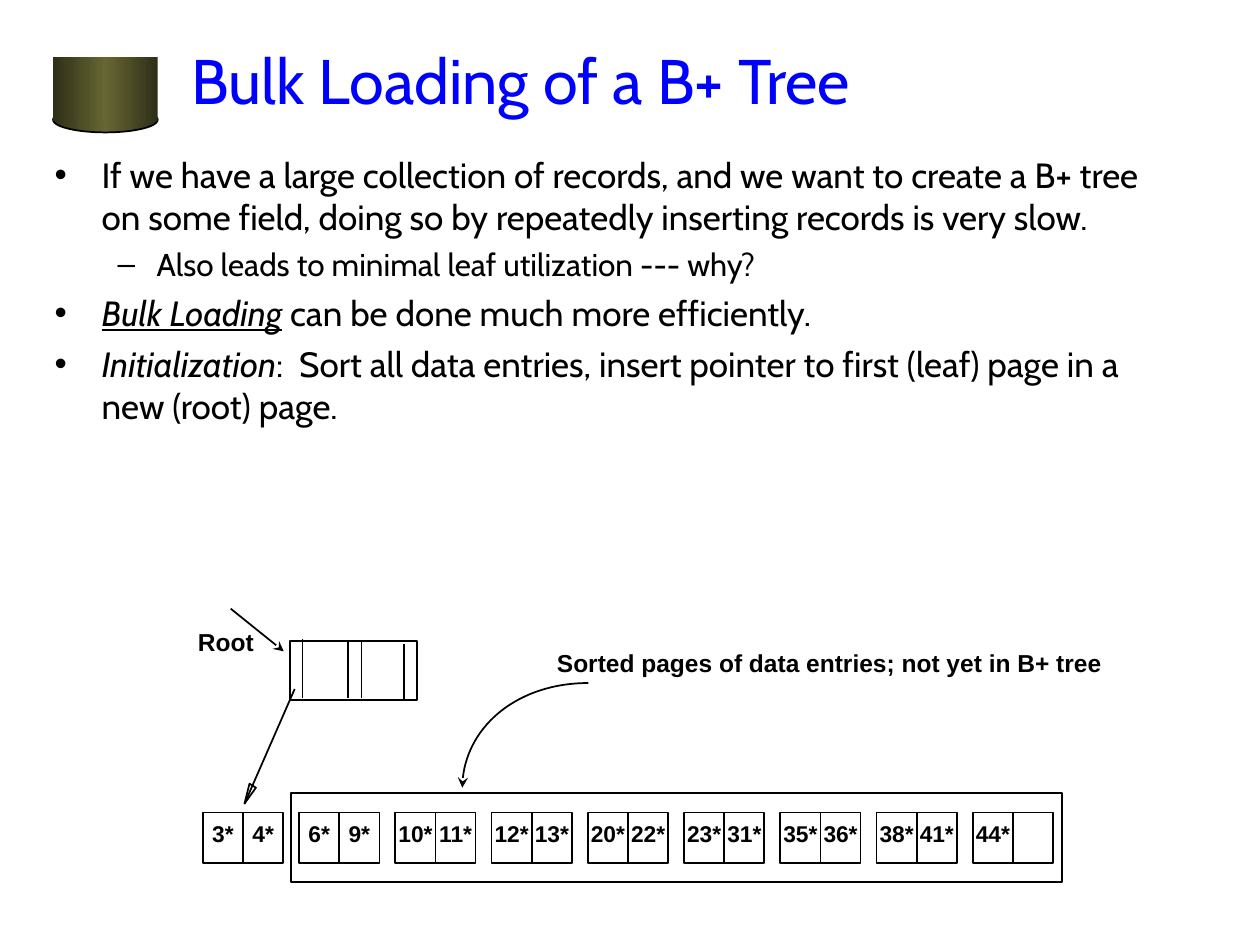
from copy import deepcopy

from lxml import etree
from pptx import Presentation
from pptx import util as u
from pptx.dml.color import RGBColor
from pptx.enum import shapes, text
from pptx.oxml import ns

COLOURS = {"ink": "000000", "title": "0000FF", "edge": "2F2F18", "middle": "666633"}


class SlideWriter:
    """Hold the style and the current slide, and draw each kind of element."""

    def __init__(self, deck):
        self.page = deck.slides.add_slide(deck.slide_layouts[5])
        self.shapes = self.page.shapes

    def colour(self, name):
        return RGBColor.from_string(COLOURS[name])

    def child(self, parent, tag, **attributes):
        return etree.SubElement(parent, ns.qn(tag), **attributes)

    def outline(self, shape):
        shape.line.color.rgb = self.colour("ink")
        shape.line.width = u.Pt(1)

    def add_run(self, para, words, size, font, colour="ink", **look):
        span = para.add_run()
        span.text = words
        span.font.size = u.Pt(size)
        span.font.name = font
        span.font.color.rgb = self.colour(colour)
        for name, value in look.items():
            setattr(span.font, name, value)

    def title(self, words, left, top, width, height):
        box = self.shapes.title
        box.left, box.top, box.width, box.height = map(u.Cm, (left, top, width, height))
        frame = box.text_frame
        frame.auto_size = text.MSO_AUTO_SIZE.NONE
        frame.vertical_anchor = text.MSO_ANCHOR.MIDDLE
        para = frame.paragraphs[0]
        para.alignment = text.PP_ALIGN.LEFT
        self.add_run(para, words, 36, "Cabin", "title")

    def bullets(self, items, left, top, width, height):
        frame = self.shapes.add_textbox(*map(u.Cm, (left, top, width, height))).text_frame
        frame.word_wrap = True
        levels = [("•", 0.95, 0.95, 20, 5), ("–", 2.06, 0.79, 18, 4.5)]
        for index, (level, runs) in enumerate(items):
            mark, margin, hanging, size, space = levels[level]
            para = frame.add_paragraph() if index else frame.paragraphs[0]
            para.level = level
            properties = para._p.get_or_add_pPr()
            properties.set("marL", str(u.Cm(margin)))
            properties.set("indent", str(-u.Cm(hanging)))
            self.child(properties, "a:buFont", typeface="Arial")
            self.child(properties, "a:buChar", char=mark)
            if index:
                para.space_before = u.Pt(space)
            for words, look in runs:
                self.add_run(para, words, size, "Cabin", **look)

    def label(self, words, left, top, width, size=14, height=0.84):
        frame = self.shapes.add_textbox(*map(u.Cm, (left, top, width, height))).text_frame
        frame.word_wrap = False
        para = frame.paragraphs[0]
        para.alignment = text.PP_ALIGN.CENTER
        self.add_run(para, words, size, "Arial", bold=True)

    def shape(self, kind, left, top, width, height):
        shape = self.shapes.add_shape(kind, *map(u.Cm, (left, top, width, height)))
        shape.shadow.inherit = False
        shape.fill.background()
        self.outline(shape)
        return shape

    def rectangle(self, *place):
        return self.shape(shapes.MSO_SHAPE.RECTANGLE, *place)

    def shade(self, shape):
        shape.fill.gradient()
        shape.fill.gradient_angle = 0
        first = shape.fill.gradient_stops[0]._gs
        first.addnext(deepcopy(first))
        stops = zip(shape.fill.gradient_stops, (0, 0.5, 1), ("edge", "middle", "edge"))
        for stop, position, name in stops:
            stop.position = position
            stop.color.rgb = self.colour(name)

    def line(self, x1, y1, x2, y2, tail=None):
        line = self.shapes.add_connector(
            shapes.MSO_CONNECTOR.STRAIGHT, *map(u.Cm, (x1, y1, x2, y2)))
        self.outline(line)
        if tail:
            self.child(line.line._get_or_add_ln(), "a:tailEnd", type=tail)
        self.child(line._element.spPr, "a:effectLst")

    def freeform(self, points, close):
        start, *rest = [tuple(map(u.Cm, point)) for point in points]
        builder = self.shapes.build_freeform(*start)
        builder.add_line_segments(rest, close=close)
        shape = builder.convert_to_shape()
        shape.shadow.inherit = False
        shape.fill.background()
        self.outline(shape)
        return shape

    def curve(self, points, head):
        shape = self.freeform(points, close=False)
        segments = list(shape._element.iter(ns.qn("a:lnTo")))
        bezier = self.child(segments[0].getparent(), "a:cubicBezTo")
        for segment in segments:
            bezier.append(segment[0])
            segment.getparent().remove(segment)
        self.child(shape.line._get_or_add_ln(), "a:headEnd", type=head)


def draw_cylinder(writer):
    writer.shade(writer.shape(shapes.MSO_SHAPE.OVAL, 1.07, 2.16, 2.11, 0.51))
    side = writer.rectangle(1.07, 1.14, 2.11, 1.3)
    writer.shade(side)
    side.line.fill.background()


def draw_leaves(writer):
    leaves = [("3*", "4*"), ("6*", "9*"), ("10*", "11*"), ("12*", "13*"), ("20*", "22*"),
              ("23*", "31*"), ("35*", "36*"), ("38*", "41*"), ("44*",)]
    first, pitch, cell, top, height = 4.09, 1.94, 0.81, 16.38, 1.02
    for index, entries in enumerate(leaves):
        left = first + index * pitch
        writer.rectangle(left, top, 2 * cell, height)
        writer.line(left + cell, top, left + cell, top + height)
        for place, entry in enumerate(entries):
            width = 0.94 if len(entry) == 2 else 1.19
            middle = left + (place + 0.5) * cell
            writer.label(entry, middle - width / 2, top + 0.03, width, 13, 0.81)


def draw_root(writer):
    writer.rectangle(5.84, 12.93, 2.57, 1.18)
    for x, top, bottom in [(6.1, 12.88, 14.07), (7.01, 12.93, 14.07),
                           (7.29, 12.93, 14.07), (8.15, 12.98, 14.12)]:
        writer.line(x, top, x, bottom)
    writer.line(5.94, 13.89, 4.93, 16.2)
    writer.freeform([(5.16, 15.88), (4.93, 16.2), (5.03, 15.8)], close=True)
    writer.label("Root", 3.73, 12.52, 1.65)
    writer.line(4.65, 12.27, 5.72, 13.13, tail="stealth")


def main():
    deck = Presentation()
    deck.slide_width, deck.slide_height = u.Cm(25.4), u.Cm(19.05)
    writer = SlideWriter(deck)
    draw_cylinder(writer)
    writer.title("Bulk Loading of a B+ Tree", 3.6, 0, 19.9, 3.18)
    italic = {"italic": True}
    writer.bullets([
        (0, [("If we have a large collection of records, and we want to create a B+ tree "
              "on some field, doing so by repeatedly inserting records is very slow.", {})]),
        (1, [("Also leads to minimal leaf utilization --- why?", {})]),
        (0, [("Bulk Loading", {"italic": True, "underline": True}), (" ", italic),
             ("can be done much more efficiently.", {})]),
        (0, [("Initialization", italic),
             (":  Sort all data entries, insert pointer to first (leaf) page in a "
              "new (root) page.", {})]),
    ], 0.85, 2.96, 23.07, 11.32)
    draw_leaves(writer)
    draw_root(writer)
    writer.rectangle(5.87, 15.98, 15.54, 1.8)
    writer.label("Sorted pages of data entries; not yet in B+ tree", 10.97, 12.93, 11.51)
    writer.curve([(9.32, 15.88), (9.32, 14.71), (10.46, 13.77), (11.86, 13.77)], "stealth")
    deck.save("out.pptx")


if __name__ == "__main__":
    main()
